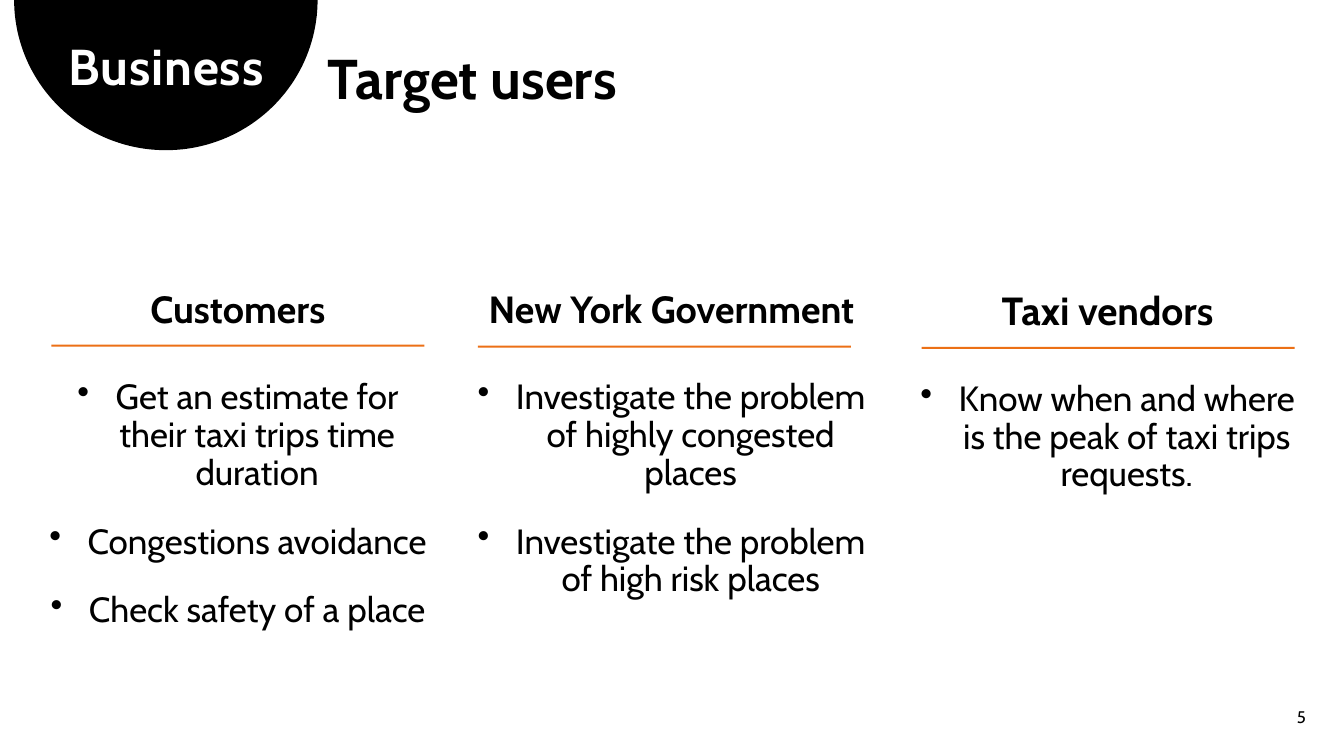
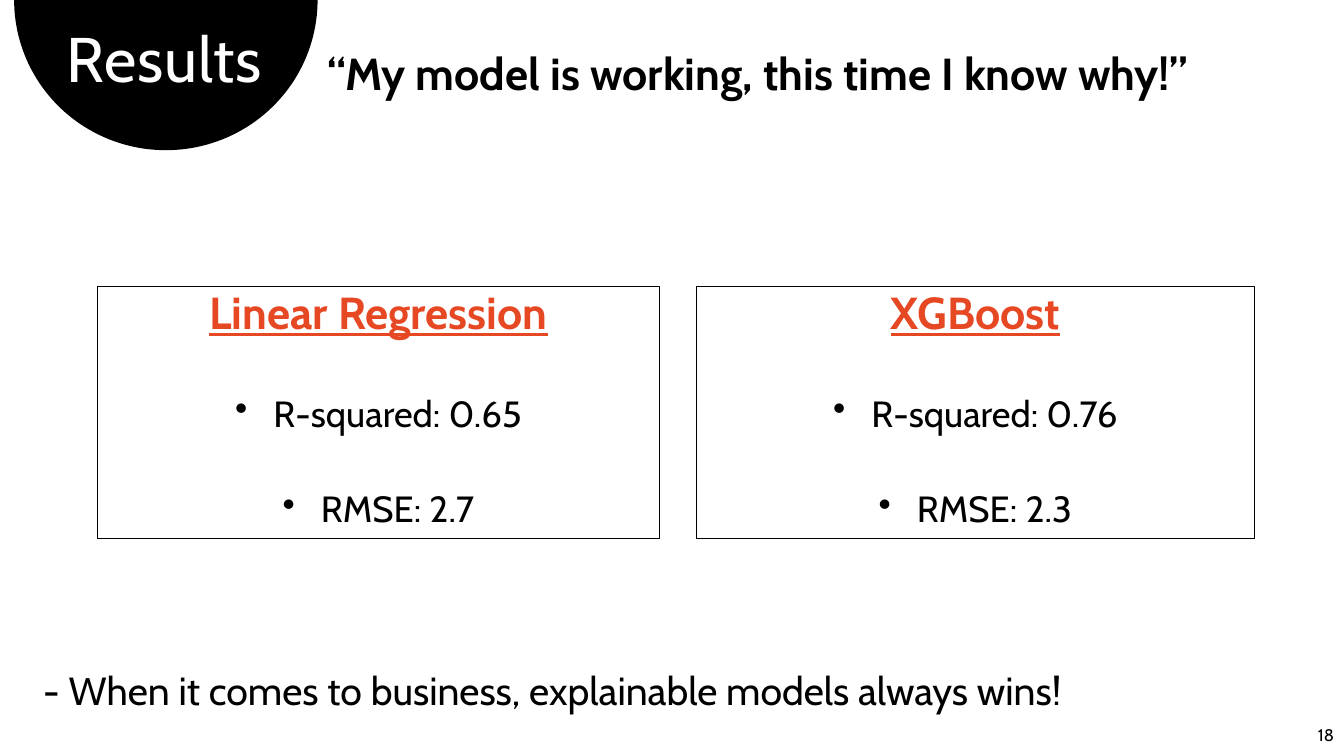
from math import cos, pi, sin

from lxml.etree import SubElement
from pptx import Presentation
from pptx.dml.color import RGBColor
from pptx.enum.shapes import MSO_SHAPE as Shape
from pptx.enum.text import MSO_ANCHOR as Anchor, PP_ALIGN as Align
from pptx.oxml.ns import qn
from pptx.util import Pt

PX = 9144  # EMU, 100 px to the inch
SLIDE_SIZE = (1333, 750)
FONT = "Cabin"
COLORS = {"black": "000000", "white": "FFFFFF", "rule": "EC7016", "model": "E64823"}
BULLET_INDENT = 38
RULE_SIZE = (370, 2)
BADGE = {"center_x": 164.5, "radius_x": 150.5, "radius_y": 149, "steps": 90}

HEADING = {"bold": True, "align": Align.CENTER, "spacing": 0.9}
ITEM = {"align": Align.CENTER, "spacing": 0.9, "before": 10, "bullet": True}
USER_ITEM = {**ITEM, "size": 25, "after": 12}
MODEL_HEADING = {**HEADING, "size": 32, "color": "model", "underline": True, "after": 30}
MODEL_ITEM = {**ITEM, "size": 26, "after": 30}

# text box, heading size, rule position, heading, items
USERS = [
    ((33, 284, 406, 411), 27, (51, 342), "Customers", [
        "Get an estimate for their taxi trips time duration",
        "Congestions avoidance",
        "Check safety of a place",
    ]),
    ((456, 284, 420, 319), 27, (474, 343), "New York Government", [
        "Investigate the problem of highly congested places",
        "Investigate the problem of high risk places",
    ]),
    ((892, 284, 413, 214), 28, (914, 344), "Taxi vendors", [
        "Know when and where is the peak of taxi trips requests.",
    ]),
]
MODELS = [
    ((97, 284, 557, 250), "Linear Regression", ["R-squared: 0.65", "RMSE: 2.7"]),
    ((691, 284, 553, 250), "XGBoost", ["R-squared: 0.76", "RMSE: 2.3"]),
]
CONCLUSION = "- When it comes to business, explainable models always wins!"


def emu(*lengths):
    return [round(length * PX) for length in lengths]


def rgb(name):
    return RGBColor.from_string(COLORS[name])


def add_bullet(para):
    props = para._p.get_or_add_pPr()
    indent = BULLET_INDENT * PX
    props.set("marL", str(indent))
    props.set("indent", str(-indent))
    SubElement(props, qn("a:buChar")).set("char", "•")


def write(shape, lines, anchor=Anchor.TOP):
    """Fill a shape with (text, style) paragraphs."""
    frame = shape.text_frame
    frame.word_wrap = True
    frame.vertical_anchor = anchor
    for index, (text, style) in enumerate(lines):
        para = frame.add_paragraph() if index else frame.paragraphs[0]
        if style.get("bullet"):
            add_bullet(para)
        formats = {
            "alignment": style.get("align", Align.LEFT),
            "line_spacing": style.get("spacing", 1.0),
            "space_before": Pt(style.get("before", 0)),
            "space_after": Pt(style.get("after", 0)),
        }
        for name, value in formats.items():
            setattr(para, name, value)
        span = para.add_run()
        span.text = text
        font_formats = {
            "name": FONT,
            "size": Pt(style["size"]),
            "bold": style.get("bold", False),
            "underline": style.get("underline", False),
        }
        for name, value in font_formats.items():
            setattr(span.font, name, value)
        span.font.color.rgb = rgb(style.get("color", "black"))
        if "tracking" in style:
            span._r.get_or_add_rPr().set("spc", str(style["tracking"]))


def add_text(page, area, lines, anchor=Anchor.TOP):
    write(page.shapes.add_textbox(*emu(*area)), lines, anchor)


def paint(shape, fill=None, line=None):
    shape.shadow.inherit = False
    if fill:
        shape.fill.solid()
        shape.fill.fore_color.rgb = rgb(fill)
    else:
        shape.fill.background()
    if line:
        shape.line.color.rgb = rgb(line)
        shape.line.width = Pt(0.75)
    else:
        shape.line.fill.background()


def add_badge(page):
    """Draw the half disc that hangs from the top edge."""
    angles = [pi * step / BADGE["steps"] for step in range(BADGE["steps"] + 1)]
    points = [
        emu(BADGE["center_x"] + BADGE["radius_x"] * cos(angle),
            BADGE["radius_y"] * sin(angle))
        for angle in angles
    ]
    builder = page.shapes.build_freeform(*points[0])
    builder.add_line_segments(points[1:], close=True)
    paint(builder.convert_to_shape(), fill="black")


def add_page(deck, section, section_area, section_style, title, title_size,
             number, number_area):
    page = deck.slides.add_slide(deck.slide_layouts[6])
    add_badge(page)
    section_style = {"align": Align.CENTER, "spacing": 0.9, "color": "white",
                     "tracking": 60, **section_style}
    add_text(page, section_area, [(section, section_style)])
    title_style = {"size": title_size, "bold": True, "spacing": 0.9}
    add_text(page, (315, 46, 993, 71), [(title, title_style)])
    add_text(page, number_area, [(number, {"size": 12, "align": Align.RIGHT})],
             Anchor.MIDDLE)
    return page


def add_users_page(deck):
    page = add_page(deck, "Business", (35, 37, 260, 65), {"size": 36, "bold": True},
                    "Target users", 40, "5", (1250, 691, 55, 40))
    for area, size, rule_at, heading, items in USERS:
        lines = [(heading, {**HEADING, "size": size, "after": 24})]
        lines += [(item, USER_ITEM) for item in items]
        add_text(page, area, lines)
        rule = page.shapes.add_shape(Shape.RECTANGLE, *emu(*rule_at, *RULE_SIZE))
        paint(rule, fill="rule")


def add_results_page(deck):
    page = add_page(deck, "Results", (33, 23, 260, 78), {"size": 45},
                    "“My model is working, this time I know why!”", 32,
                    "18", (1276, 709, 57, 40))
    for area, heading, items in MODELS:
        box = page.shapes.add_shape(Shape.RECTANGLE, *emu(*area))
        paint(box, line="black")
        write(box, [(heading, MODEL_HEADING)] + [(item, MODEL_ITEM) for item in items])
    add_text(page, (33, 656, 1050, 57), [(CONCLUSION, {"size": 28})])


def main():
    deck = Presentation()
    deck.slide_width, deck.slide_height = emu(*SLIDE_SIZE)
    add_users_page(deck)
    add_results_page(deck)
    deck.save("out.pptx")


if __name__ == "__main__":
    main()
